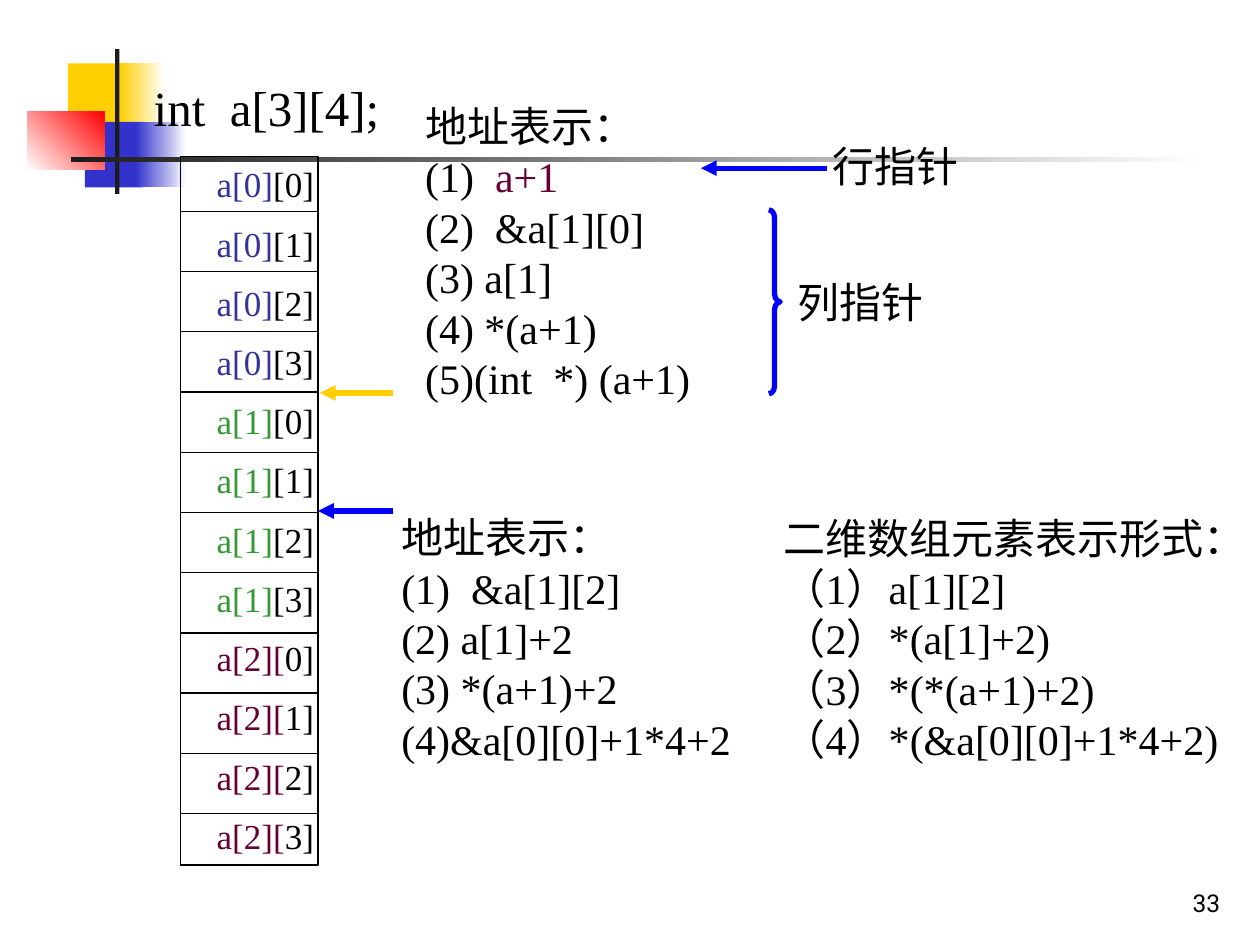
from lxml import etree
from pptx import Presentation
from pptx.dml.color import RGBColor
from pptx.enum.shapes import MSO_CONNECTOR, MSO_SHAPE
from pptx.enum.text import MSO_ANCHOR, MSO_AUTO_SIZE, PP_ALIGN
from pptx.oxml.ns import qn
from pptx.util import Cm, Pt

STRAIGHT = MSO_CONNECTOR.STRAIGHT
RECTANGLE, BRACE = MSO_SHAPE.RECTANGLE, MSO_SHAPE.RIGHT_BRACE
TOP, MIDDLE, BOTTOM = MSO_ANCHOR.TOP, MSO_ANCHOR.MIDDLE, MSO_ANCHOR.BOTTOM
LEFT, CENTER, RIGHT = PP_ALIGN.LEFT, PP_ALIGN.CENTER, PP_ALIGN.RIGHT
GROW, FIXED = MSO_AUTO_SIZE.SHAPE_TO_FIT_TEXT, MSO_AUTO_SIZE.NONE
RIGHT_SIDE = 3

BLACK = RGBColor(0x00, 0x00, 0x00)
WHITE = RGBColor(0xFF, 0xFF, 0xFF)
CHARCOAL = RGBColor(0x1C, 0x1C, 0x1C)
YELLOW = RGBColor(0xFF, 0xCF, 0x01)
INDIGO = RGBColor(0x33, 0x33, 0xCC)
RED = RGBColor(0xFF, 0x00, 0x00)
BLUE = RGBColor(0x00, 0x00, 0xFF)
NAVY = RGBColor(0x33, 0x33, 0x99)
GREEN = RGBColor(0x33, 0x99, 0x33)
MAROON = RGBColor(0x66, 0x00, 0x33)

DECORATIONS = [
    ((1.37, 1.28, 1.22, 1.32), (YELLOW,), 0),
    ((2.41, 1.28, 0.91, 1.32), (YELLOW, WHITE), 0),
    ((1.71, 2.46, 1.17, 1.32), (INDIGO,), 0),
    ((2.74, 2.46, 1.02, 1.32), (INDIGO, WHITE), 0),
    ((0.55, 2.24, 1.56, 1.18), (WHITE, RED), 45),
    ((2.32, 0.99, 0.09, 2.92), (CHARCOAL,), 0),
    ((1.43, 3.17, 22.86, 0.09), (CHARCOAL, WHITE), 0),
]
ROW_NAMES = [("a[0]", "[", NAVY), ("a[1]", "[", GREEN), ("a[2][", "", MAROON)]
COLUMNS = 4
CELL_COUNT = len(ROW_NAMES) * COLUMNS

ELEMENT_FORMS = [
    "二维数组元素表示形式：",
    "（1）a[1][2]",
    "（2）*(a[1]+2)",
    "（3）*(*(a+1)+2)",
    "（4）*(&a[0][0]+1*4+2)",
]
ROW_ADDRESSES = [
    "地址表示：",
    [("(1)  ", BLACK), ("a+1", MAROON)],
    "(2)  &a[1][0]",
    "(3) a[1]",
    "(4) *(a+1)",
    "(5)(int  *) (a+1)",
]
ELEMENT_ADDRESSES = [
    "地址表示：",
    "(1)  &a[1][2]",
    "(2) a[1]+2",
    "(3) *(a+1)+2",
    "(4)&a[0][0]+1*4+2",
]


def assign(target, values):
    for name, value in values.items():
        setattr(target, name, value)


class SlideBuilder:
    serif = "Times New Roman"
    sans = "Roboto"

    def __init__(self, slide):
        self.slide = slide

    def shape(self, kind, area, colors=(), angle=0, line=None, width=0.75):
        shape = self.slide.shapes.add_shape(kind, *map(Cm, area))
        shape.shadow.inherit = False
        if len(colors) > 1:
            shape.fill.gradient()
            shape.fill.gradient_angle = angle
            for stop, color in zip(shape.fill.gradient_stops, colors):
                stop.color.rgb = color
        elif colors:
            shape.fill.solid()
            shape.fill.fore_color.rgb = colors[0]
        else:
            shape.fill.background()
        if line is None:
            shape.line.fill.background()
        else:
            shape.line.color.rgb = line
            shape.line.width = Pt(width)
        return shape

    def line(self, start, end, color=BLACK, width=0.75, arrow=False):
        line = self.slide.shapes.add_connector(STRAIGHT, *map(Cm, start + end))
        line.line.color.rgb = color
        line.line.width = Pt(width)
        if arrow:
            stroke = line.line._get_or_add_ln()
            etree.SubElement(stroke, qn("a:tailEnd"), type="triangle")
        etree.SubElement(line._element.spPr, qn("a:effectLst"))
        return line

    def text(self, area, paras, size=24, font=None, align=LEFT, anchor=TOP, wrap=False):
        box = self.slide.shapes.add_textbox(*map(Cm, area))
        frame = box.text_frame
        assign(frame, {
            "word_wrap": wrap,
            "auto_size": FIXED if wrap else GROW,
            "vertical_anchor": anchor,
        })
        for index, content in enumerate(paras):
            para = frame.add_paragraph() if index else frame.paragraphs[0]
            para.alignment = align
            spans = [(content, BLACK)] if isinstance(content, str) else content
            for words, color in spans:
                span = para.add_run()
                span.text = words
                assign(span.font, {"name": font or self.serif, "size": Pt(size)})
                span.font.color.rgb = color
        return box


def add_memory_column(builder):
    column = builder.shape(RECTANGLE, (3.64, 3.16, 2.77, 14.28), line=BLACK)
    for index in range(CELL_COUNT - 1):
        y = 4.26 + 12.14 * index / (CELL_COUNT - 2)
        builder.line((3.65, y), (6.42, y))
    for index in range(CELL_COUNT):
        name, bracket, color = ROW_NAMES[index // COLUMNS]
        spans = [(name, color), (f"{bracket}{index % COLUMNS}]", BLACK)]
        y = 3.16 + 13.13 * index / (CELL_COUNT - 1)
        builder.text((4.12, y, 2.7, 1.12), [spans], size=20)
    return column


def main():
    deck = Presentation()
    assign(deck, {"slide_width": Cm(25.4), "slide_height": Cm(19.05)})
    page = deck.slides.add_slide(deck.slide_layouts[6])
    builder = SlideBuilder(page)

    for area, colors, angle in DECORATIONS:
        builder.shape(RECTANGLE, area, colors, angle)

    builder.text((2.85, 1.44, 5.2, 1.45), ["int  a[3][4];"], size=28)
    column = add_memory_column(builder)
    builder.text((15.55, 10.2, 10, 5.33), ELEMENT_FORMS)

    builder.line((7.93, 7.92), (6.45, 7.92), YELLOW, 3, arrow=True)
    builder.text((8.32, 1.9, 6.1, 6.35), ROW_ADDRESSES, anchor=MIDDLE)

    builder.line((16.67, 3.39), (14.13, 3.39), BLUE, 3, arrow=True)
    builder.text((16.52, 2.71, 3.05, 1.27), ["行指针"], align=CENTER, anchor=MIDDLE)

    brace = builder.shape(BRACE, (15.5, 4.23, 0.23, 3.71), line=BLUE, width=3)
    brace.adjustments[0] = 0.7
    builder.text((15.82, 5.44, 3.05, 1.27), ["列指针"], align=CENTER, anchor=MIDDLE)

    element_arrow = builder.line((7.93, 10.3), (6.41, 10.3), BLUE, 3, arrow=True)
    element_arrow.end_connect(column, RIGHT_SIDE)
    builder.text((7.84, 10.19, 7.4, 5.33), ELEMENT_ADDRESSES, anchor=MIDDLE)

    builder.text((19.57, 17.34, 5.28, 1.27), ["33"], size=14, font=builder.sans,
                 align=RIGHT, anchor=BOTTOM, wrap=True)
    deck.save("out.pptx")


if __name__ == "__main__":
    main()
